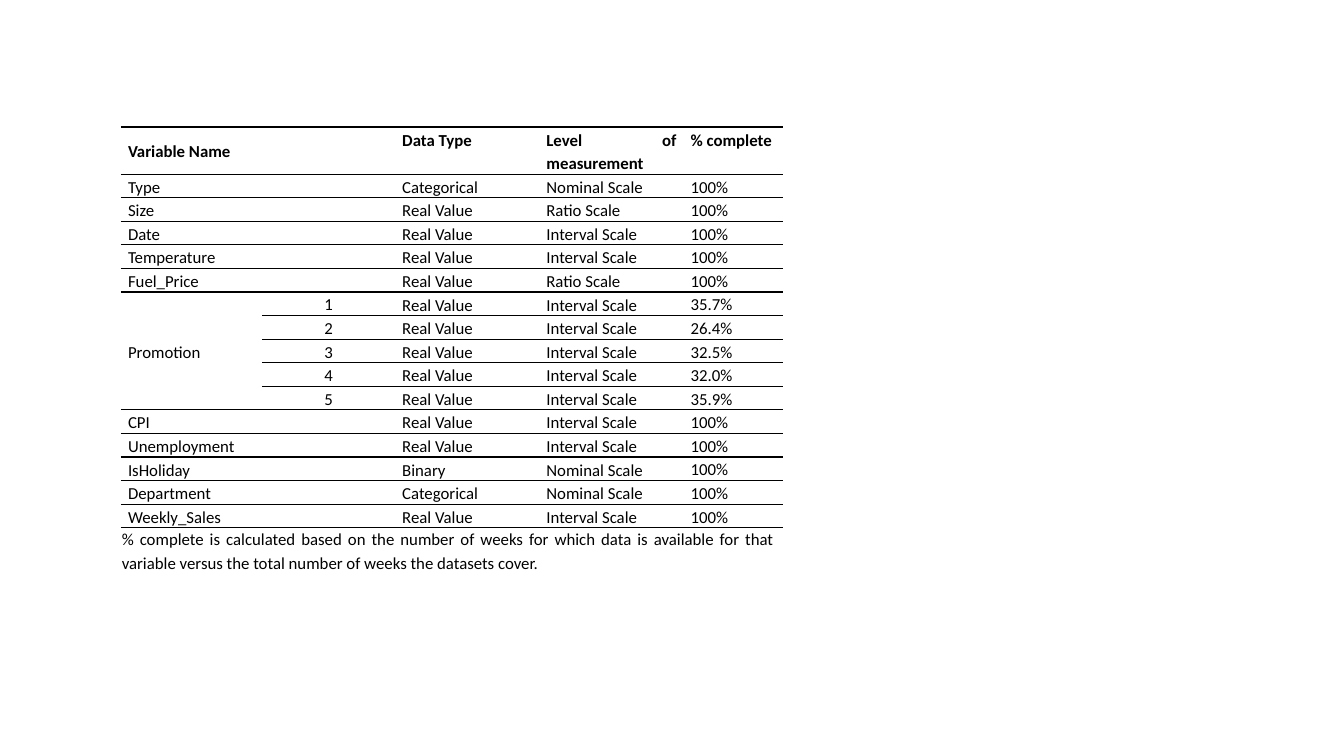
import pptx
import pptx.dml.color
import pptx.enum.text
import pptx.oxml
import pptx.oxml.ns
import pptx.util
from pptx.util import Inches

ALIGN = pptx.enum.text.PP_ALIGN
ANCHOR = pptx.enum.text.MSO_ANCHOR
COLORS = {"ink": "000000"}
FONT_FORMAT = {"name": "Calibri", "size": pptx.util.Pt(12)}
CELL_FORMAT = {
    "margin_left": Inches(0.07),
    "margin_right": Inches(0.07),
    "margin_top": 0,
    "margin_bottom": 0,
}
COLUMN_WIDTHS = [1.4, 1.32, 1.43, 1.43, 0.99]
COLUMN_ANCHORS = [ANCHOR.MIDDLE, ANCHOR.TOP, ANCHOR.BOTTOM, ANCHOR.BOTTOM, ANCHOR.TOP]
HEADER_HEIGHT, ROW_HEIGHT = 0.37, 0.17

HEADER = ("Variable Name", "", "Data Type", "Level of measurement", "% complete")
PROMOTION_RATES = ["35.7%", "26.4%", "32.5%", "32.0%", "35.9%"]
LEADING_VARIABLES = [
    ("Type", "", "Categorical", "Nominal Scale", "100%"),
    ("Size", "", "Real Value", "Ratio Scale", "100%"),
    ("Date", "", "Real Value", "Interval Scale", "100%"),
    ("Temperature", "", "Real Value", "Interval Scale", "100%"),
    ("Fuel_Price", "", "Real Value", "Ratio Scale", "100%"),
]
PROMOTIONS = [
    ("Promotion" if number == 1 else "", str(number), "Real Value", "Interval Scale", rate)
    for number, rate in enumerate(PROMOTION_RATES, 1)
]
TRAILING_VARIABLES = [
    ("CPI", "", "Real Value", "Interval Scale", "100%"),
    ("Unemployment", "", "Real Value", "Interval Scale", "100%"),
    ("IsHoliday", "", "Binary", "Nominal Scale", "100%"),
    ("Department", "", "Categorical", "Nominal Scale", "100%"),
    ("Weekly_Sales", "", "Real Value", "Interval Scale", "100%"),
]
VARIABLES = [HEADER] + LEADING_VARIABLES + PROMOTIONS + TRAILING_VARIABLES
FOOTNOTE = (
    "% complete is calculated based on the number of weeks for which data is available "
    "for that variable versus the total number of weeks the datasets cover."
)


def apply_format(target, values):
    """Set every attribute in values on target."""
    for attribute, value in values.items():
        setattr(target, attribute, value)


def write_text(frame, text, alignment=ALIGN.JUSTIFY, bold=False):
    """Write one formatted paragraph and return it."""
    paragraph = frame.paragraphs[0]
    apply_format(paragraph, {"alignment": alignment, "line_spacing": 1.15})
    run = paragraph.add_run()
    run.text = text
    apply_format(run.font, {**FONT_FORMAT, "bold": bold})
    run.font.color.rgb = pptx.dml.color.RGBColor.from_string(COLORS["ink"])
    return paragraph


def rule_cell(cell, ruled_sides):
    """Draw 1 pt rules on the given sides and clear the other sides."""
    properties = cell._tc.get_or_add_tcPr()
    for side in "LRTB":
        line = (
            f'<a:solidFill><a:srgbClr val="{COLORS["ink"]}"/></a:solidFill>'
            if side in ruled_sides
            else "<a:noFill/>"
        )
        properties.append(pptx.oxml.parse_xml(
            f'<a:ln{side} {pptx.oxml.ns.nsdecls("a")} w="12700">{line}</a:ln{side}>'
        ))


def add_variable_table(slide):
    """Add the ruled table of variables, merging the name cells."""
    row_count = len(VARIABLES)
    frame = slide.shapes.add_table(
        row_count, len(COLUMN_WIDTHS), Inches(1.2), Inches(1.26), Inches(6.57), Inches(3.91)
    )
    table = frame.table
    apply_format(table, {"first_row": False, "horz_banding": False})
    for column, width in zip(table.columns, COLUMN_WIDTHS):
        column.width = Inches(width)
    for index, row in enumerate(table.rows):
        row.height = Inches(ROW_HEIGHT if index else HEADER_HEIGHT)
    frame.height = Inches(3.91)

    first_promotion = 1 + len(LEADING_VARIABLES)
    last_promotion = first_promotion + len(PROMOTIONS) - 1
    table.cell(first_promotion, 0).merge(table.cell(last_promotion, 0))
    for row in range(row_count):
        if not first_promotion <= row <= last_promotion:
            table.cell(row, 0).merge(table.cell(row, 1))

    for row, values in enumerate(VARIABLES):
        for column, text in enumerate(values):
            cell = table.cell(row, column)
            anchor = COLUMN_ANCHORS[column] if row or column == 0 else ANCHOR.TOP
            apply_format(cell, {**CELL_FORMAT, "vertical_anchor": anchor})
            alignment = ALIGN.CENTER if column == 1 else ALIGN.JUSTIFY
            write_text(cell.text_frame, text, alignment, bold=row == 0)
            inside_promotion = column == 0 and first_promotion < row <= last_promotion
            rule_cell(cell, "" if inside_promotion else "TB")
            cell.fill.background()


def add_footnote(slide):
    """Add the note that explains the completeness column."""
    box = slide.shapes.add_textbox(Inches(1.11), Inches(5.17), Inches(6.67), Inches(0.55))
    box.text_frame.word_wrap = True
    write_text(box.text_frame, FOOTNOTE).space_after = pptx.util.Pt(10)


def main():
    """Build and save the slide."""
    presentation = pptx.Presentation()
    apply_format(presentation, {"slide_width": Inches(13.33), "slide_height": Inches(7.5)})
    slide = presentation.slides.add_slide(presentation.slide_layouts[6])
    add_variable_table(slide)
    add_footnote(slide)
    presentation.save("out.pptx")


main()
